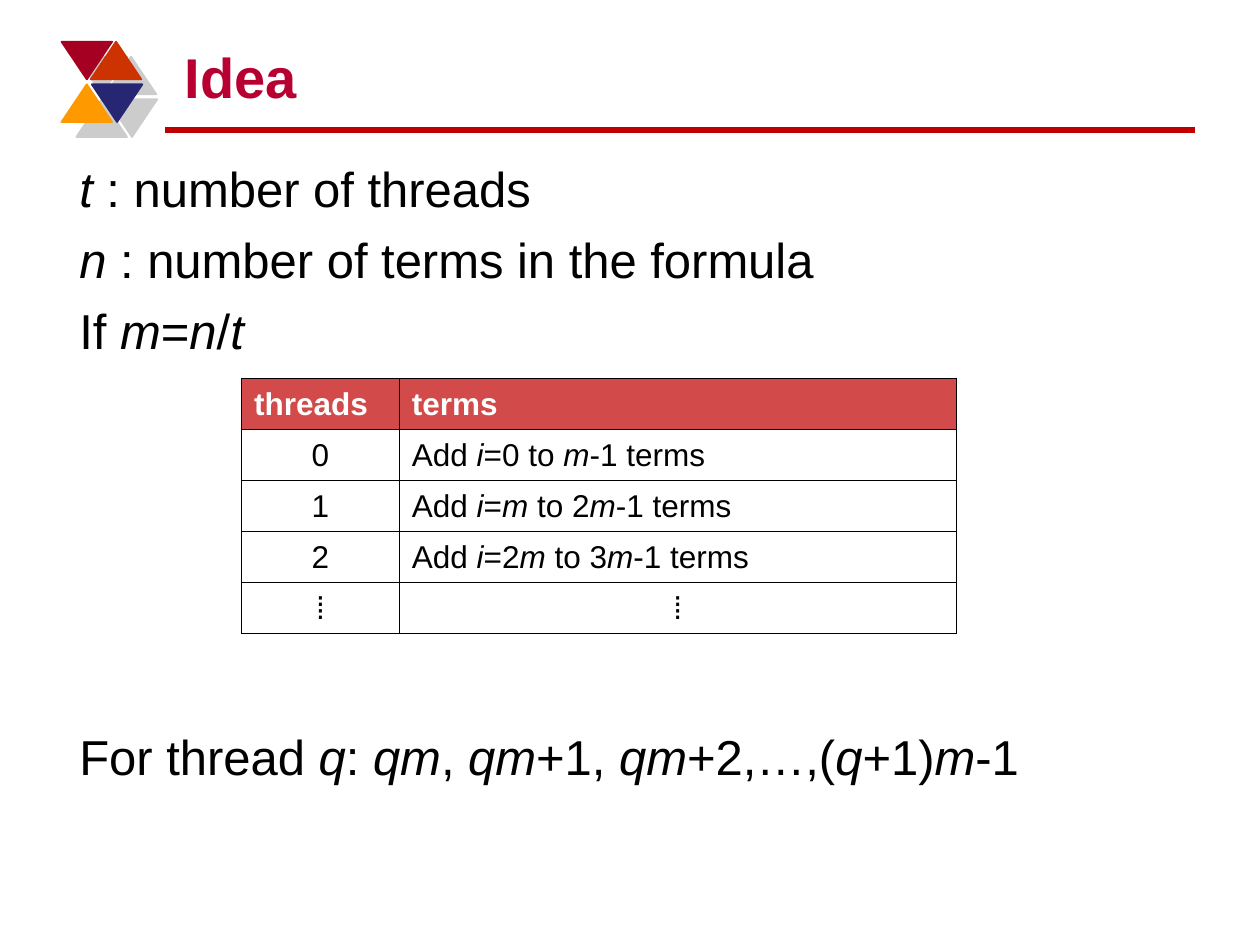
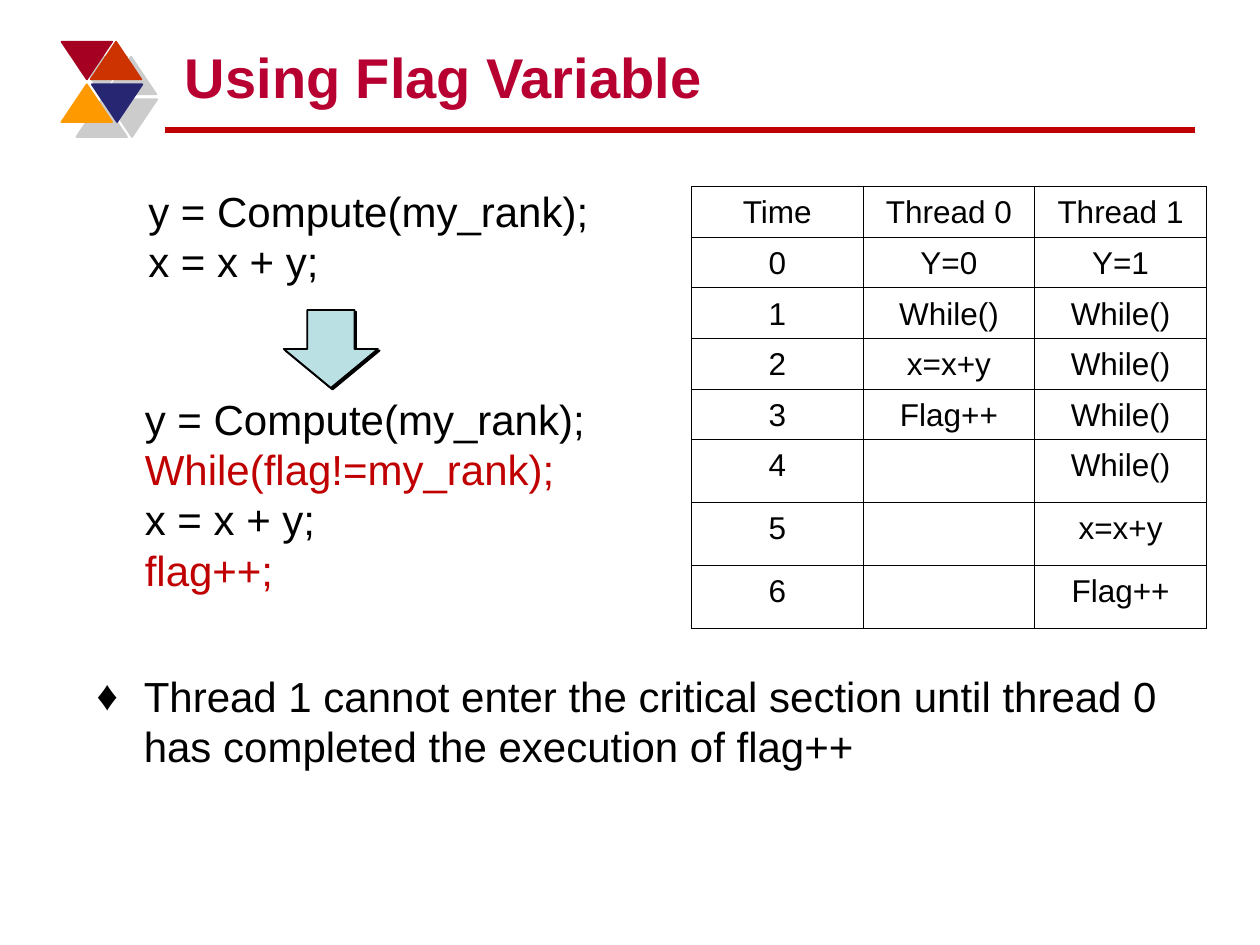
from lxml import etree
from pptx import Presentation
from pptx import util as u
from pptx.dml.color import RGBColor
from pptx.enum import shapes, text
from pptx.oxml.ns import qn

BLACK = RGBColor(0x00, 0x00, 0x00)
WHITE = RGBColor(0xFF, 0xFF, 0xFF)
RED = RGBColor(0xC0, 0x00, 0x00)
TITLE_RED = RGBColor(0xB7, 0x00, 0x31)
CRIMSON = RGBColor(0xA5, 0x00, 0x21)
RUST = RGBColor(0xCC, 0x33, 0x00)
AMBER = RGBColor(0xFF, 0x99, 0x00)
NAVY = RGBColor(0x26, 0x26, 0x73)
PALE_BLUE = RGBColor(0xBB, 0xE0, 0xE3)

FONT = "Arial"
LINE_HEIGHT = 1.2
LEFT, CENTER = text.PP_ALIGN.LEFT, text.PP_ALIGN.CENTER


def apply(target, **values):
    for name, value in values.items():
        setattr(target, name, value)


def add_xml(parent, tag, **attributes):
    return etree.SubElement(parent, qn(tag), attributes)


def place(*lengths):
    return [u.Cm(length) for length in lengths]


class Deck:
    def __init__(self):
        self.presentation = Presentation()
        apply(self.presentation, slide_width=u.Cm(25.4), slide_height=u.Cm(19.05))
        self.slide = None

    def new_slide(self, title):
        self.slide = self.presentation.slides.add_slide(self.presentation.slide_layouts[6])
        self.rule(3.33, 2.62, 24.08)
        for left, top, color, rotation in ((1.24, 0.84, CRIMSON, 180), (1.83, 0.84, RUST, 0),
                                           (1.24, 1.7, AMBER, 0), (1.85, 1.7, NAVY, 180)):
            self.shape(shapes.MSO_SHAPE.ISOSCELES_TRIANGLE, (left, top, 1.02, 0.76),
                       color, color, shadow=(20, 12.1), rotation=rotation)
        self.text_box((3.48, 0.64, 20.32, 1.7), [title], 32, TITLE_RED, bold=True,
                      anchor=text.MSO_ANCHOR.BOTTOM)

    def rule(self, left, top, right):
        line = self.slide.shapes.add_connector(
            shapes.MSO_CONNECTOR.STRAIGHT, *place(left, top, right, top))
        line.line.color.rgb = RED
        line.line.width = u.Pt(3)
        add_xml(line._element.spPr, "a:effectLst")

    def shape(self, kind, box, fill, outline, shadow, rotation=0):
        """Draw a shape; shadow is (opacity in percent, distance in points)."""
        shape = self.slide.shapes.add_shape(kind, *place(*box))
        shape.rotation = rotation
        shape.fill.solid()
        shape.fill.fore_color.rgb = fill
        shape.line.color.rgb = outline
        shape.line.width = u.Pt(1)
        shape.shadow.inherit = False
        opacity, distance = shadow
        effects = shape._element.spPr.find(qn("a:effectLst"))
        outer = add_xml(effects, "a:outerShdw", dist=str(int(u.Pt(distance))),
                        dir="2700000", algn="ctr", rotWithShape="0")
        color = add_xml(outer, "a:srgbClr", val=str(BLACK))
        add_xml(color, "a:alpha", val=str(opacity * 1000))

    def fill_paragraph(self, paragraph, content, size, color, bold=False, align=LEFT):
        """Add the content as runs; parts between asterisks become italic."""
        apply(paragraph, alignment=align, line_spacing=u.Pt(size * LINE_HEIGHT))
        for index, part in enumerate(content.split("*")):
            if part:
                run = paragraph.add_run()
                run.text = part
                apply(run.font, name=FONT, size=u.Pt(size), bold=bold, italic=index % 2 == 1)
                run.font.color.rgb = color

    def text_box(self, box, lines, size, color=BLACK, bold=False, gap=0,
                 anchor=text.MSO_ANCHOR.TOP, bullet=None):
        """Make one paragraph per line; a line may be a (text, color) pair."""
        frame = self.slide.shapes.add_textbox(*place(*box)).text_frame
        apply(frame, word_wrap=True, vertical_anchor=anchor)
        for index, line in enumerate(lines):
            content, line_color = line if isinstance(line, tuple) else (line, color)
            paragraph = frame.add_paragraph() if index else frame.paragraphs[0]
            if bullet:
                self.bullet(paragraph, bullet)
            self.fill_paragraph(paragraph, content, size, line_color, bold)
            if index:
                paragraph.space_before = u.Pt(gap)

    def bullet(self, paragraph, symbol):
        properties = paragraph._p.get_or_add_pPr()
        indent = int(u.Cm(0.95))
        properties.set("marL", str(indent))
        properties.set("indent", str(-indent))
        add_xml(add_xml(properties, "a:buClr"), "a:srgbClr", val=str(BLACK))
        add_xml(properties, "a:buFont", typeface=FONT)
        add_xml(properties, "a:buChar", char=symbol)

    def table(self, left, top, widths, heights, rows, align, header=False):
        """Draw a grid; align(row, column) gives the alignment of a cell."""
        grid = self.slide.shapes.add_table(
            len(rows), len(widths), *place(left, top, sum(widths), sum(heights))).table
        apply(grid, first_row=False, horz_banding=False)
        for column, width in zip(grid.columns, widths):
            column.width = u.Cm(width)
        for r, (row, height) in enumerate(zip(rows, heights)):
            grid.rows[r].height = u.Cm(height)
            is_header = header and r == 0
            for c, content in enumerate(row):
                cell = grid.cell(r, c)
                self.borders(cell)
                self.cell_fill(cell, is_header)
                self.fill_paragraph(cell.text_frame.paragraphs[0], content, 18,
                                    WHITE if is_header else BLACK, is_header, align(r, c))

    def borders(self, cell):
        properties = cell._tc.get_or_add_tcPr()
        for side in ("a:lnL", "a:lnR", "a:lnT", "a:lnB"):
            line = add_xml(properties, side, w=str(int(u.Pt(0.45))))
            add_xml(add_xml(line, "a:solidFill"), "a:srgbClr", val=str(BLACK))

    def cell_fill(self, cell, is_header):
        if not is_header:
            cell.fill.background()
            return
        cell.fill.solid()
        cell.fill.fore_color.rgb = RED
        color = cell._tc.tcPr.find(qn("a:solidFill")).find(qn("a:srgbClr"))
        add_xml(color, "a:alpha", val="71000")


def idea_slide(deck):
    deck.new_slide("Idea")
    body_left, body_width = 1.35, 22.73
    deck.text_box((body_left, 3.07, body_width, 4.4),
                  ["*t* : number of threads",
                   "*n* : number of terms in the formula",
                   "If *m*=*n*/*t*"], 28, gap=7)
    deck.text_box((body_left, 14.53, body_width, 1.5),
                  ["For thread *q*: *qm*, *qm*+1, *qm*+2,…,(*q*+1)*m*-1"], 28)
    work_split = [("threads", "terms"),
                  ("0", "Add *i*=0 to *m*-1 terms"),
                  ("1", "Add *i*=*m* to 2*m*-1 terms"),
                  ("2", "Add *i*=2*m* to 3*m*-1 terms"),
                  ("⁞", "⁞")]
    last = len(work_split) - 1
    deck.table(4.87, 7.62, [3.18, 11.22], [1.03] * len(work_split), work_split,
               lambda r, c: CENTER if r == last or (r and c == 0) else LEFT, header=True)


def flag_slide(deck):
    deck.new_slide("Using Flag Variable")
    deck.text_box((1.7, 13.39, 22.61, 2.29),
                  ["Thread 1 cannot enter the critical section until thread 0 "
                   "has completed the execution of flag++"], 24, bullet="♦")
    timeline = [("Time", "Thread 0", "Thread 1"),
                ("0", "Y=0", "Y=1"),
                ("1", "While()", "While()"),
                ("2", "x=x+y", "While()"),
                ("3", "Flag++", "While()"),
                ("4", "", "While()"),
                ("5", "", "x=x+y"),
                ("6", "", "Flag++")]
    deck.table(13.94, 3.76, [3.46] * 3, [1.02] * 5 + [1.27] * 3, timeline,
               lambda r, c: CENTER)
    compute, update = "y = Compute(my_rank);", "x = x + y;"
    deck.text_box((2.74, 3.61, 12.7, 2.29), [compute, update], 24)
    deck.text_box((2.67, 7.8, 12.7, 4.32),
                  [compute, ("While(flag!=my_rank);", RED), update, ("flag++;", RED)], 24)
    deck.shape(shapes.MSO_SHAPE.DOWN_ARROW, (5.72, 6.25, 1.9, 1.57),
               PALE_BLUE, BLACK, shadow=(100, 1.4))


def main():
    deck = Deck()
    idea_slide(deck)
    flag_slide(deck)
    deck.presentation.save("out.pptx")


if __name__ == "__main__":
    main()
